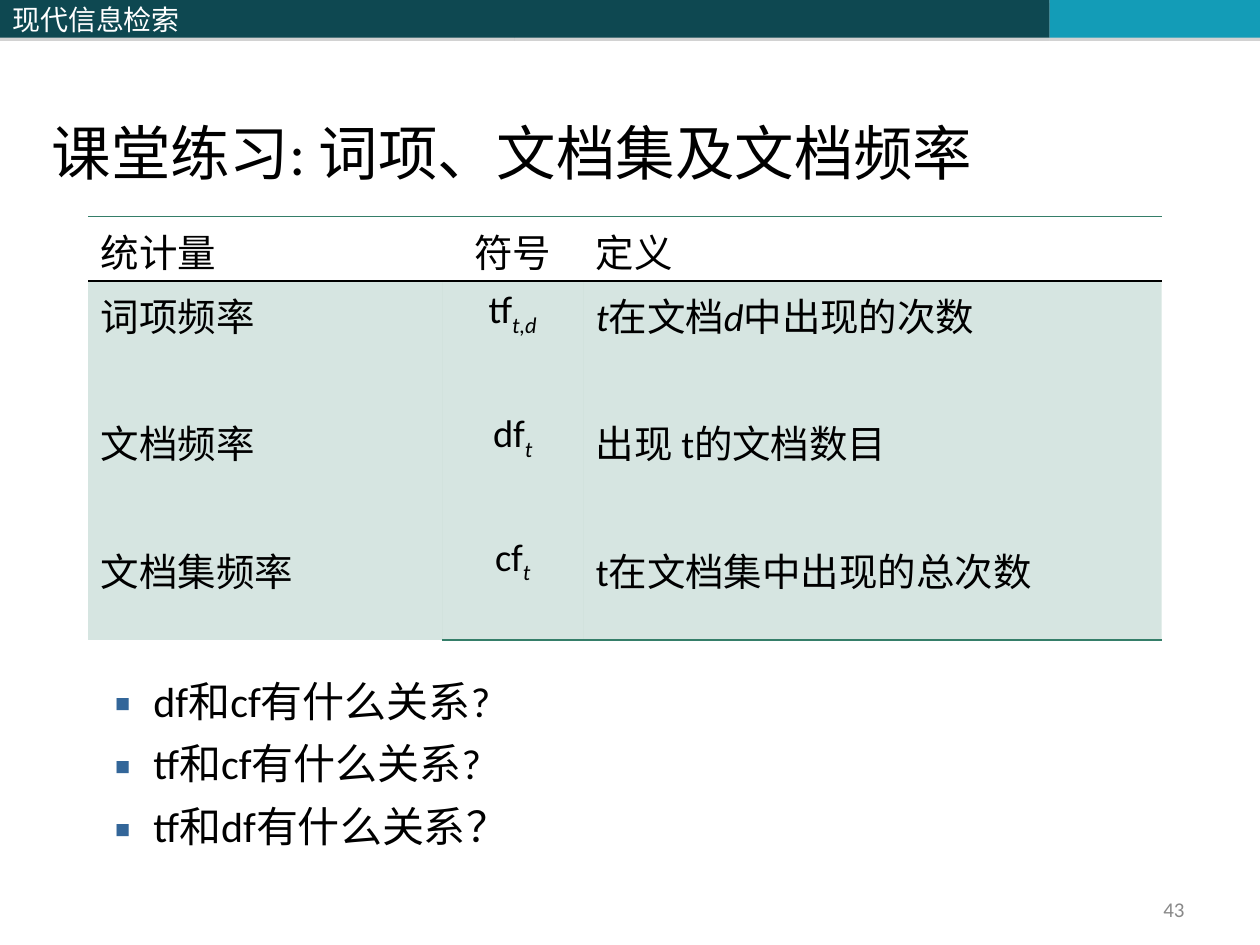
from lxml import etree
from pptx import Presentation
from pptx.dml import color
from pptx.enum import shapes, text
from pptx.oxml import ns
from pptx.util import Pt

INK = "000000"
TEAL = "0E4851"
GREEN = "357E69"
CJK = "Noto Sans CJK SC"
LEFT, MID, RIGHT = text.PP_ALIGN.LEFT, text.PP_ALIGN.CENTER, text.PP_ALIGN.RIGHT
MIDDLE = text.MSO_ANCHOR.MIDDLE
PLAIN = "{2D5ABB26-0587-4C30-8999-92F81FD0307C}"


def rgb(code):
    return color.RGBColor.from_string(code)


def sub(parent, tag, **attrs):
    node = etree.SubElement(parent, ns.qn("a:" + tag))
    for key, val in attrs.items():
        node.set(key, str(val))
    return node


def tint(parent, code, alpha=100):
    node = sub(sub(parent, "solidFill"), "srgbClr", val=code)
    if alpha < 100:
        sub(node, "alpha", val=alpha * 1000)


def write(frame, paras, size=22, font="Calibri", ink=INK, align=LEFT,
          first=0, gap=0, anchor=None, bullet=None):
    frame.word_wrap = True
    if anchor is not None:
        frame.vertical_anchor = anchor
    for row, runs in enumerate(paras):
        para = frame.add_paragraph() if row else frame.paragraphs[0]
        para.alignment = align
        para.space_before = Pt(gap if row else first)
        if bullet:
            mark(para, bullet)
        for words, style in [(runs, "")] if isinstance(runs, str) else runs:
            run = para.add_run()
            run.text = words
            run.font.size = Pt(size)
            run.font.name = font
            run.font.color.rgb = rgb(ink)
            props = run.font._element
            sub(props, "ea", typeface=CJK)
            if style:
                run.font.italic = True
            if style == "low":
                props.set("baseline", "-25000")


def mark(para, code):
    para.level = 1
    props = para._p.get_or_add_pPr()
    props.set("marL", str(Pt(58.3)))
    props.set("indent", str(Pt(-22.3)))
    sub(sub(props, "buClr"), "srgbClr", val=code)
    sub(props, "buFont", typeface="Noto Sans")
    sub(props, "buChar", char="▪")


def band(slide, left, width, fill, words=None):
    box = slide.shapes.add_shape(shapes.MSO_SHAPE.RECTANGLE,
                                 Pt(left), 0, Pt(width), Pt(21.6))
    box.fill.solid()
    box.fill.fore_color.rgb = rgb(fill)
    box.line.fill.background()
    box.shadow.inherit = False
    glow = box._element.spPr.find(ns.qn("a:effectLst"))
    drop = sub(glow, "outerShdw", blurRad=0, dist=Pt(1.8), dir=5400000,
               algn="t", rotWithShape=0)
    sub(sub(drop, "srgbClr", val="808080"), "alpha", val=35000)
    if words:
        write(box.text_frame, [words], size=16, font=CJK, ink="FFFFFF",
              anchor=MIDDLE)


def label(slide, left, top, width, height, paras, **look):
    box = slide.shapes.add_textbox(Pt(left), Pt(top), Pt(width), Pt(height))
    write(box.text_frame, paras, **look)


def head(slide, words):
    title = slide.shapes.title
    title.left, title.top, title.width, title.height = map(
        Pt, (22.3, 0.7, 697.7, 110.2))
    title.text_frame.auto_size = text.MSO_AUTO_SIZE.NONE
    write(title.text_frame, [words], size=34, anchor=text.MSO_ANCHOR.BOTTOM)


def edge(cell, fill=None, **sides):
    props = cell._tc.get_or_add_tcPr()
    for side in "LRTB":
        code = sides.get(side)
        line = sub(props, "ln" + side, w=Pt(1) if code else 0)
        if code:
            tint(line, code)
        else:
            sub(line, "noFill")
    if fill:
        tint(props, fill, 20)
    else:
        sub(props, "noFill")


def grid(slide, heads, body):
    widths, heights = (202.3, 80.6, 330.5), (36.7, 205.2)
    table = slide.shapes.add_table(2, 3, Pt(50.4), Pt(123.8), Pt(sum(widths)),
                                   Pt(sum(heights))).table
    table.first_row = table.horz_banding = False
    table._tbl.tblPr.find(ns.qn("a:tableStyleId")).text = PLAIN
    for row, high in zip(table.rows, heights):
        row.height = Pt(high)
    for col, wide in enumerate(widths):
        table.columns[col].width = Pt(wide)
        top, low = table.cell(0, col), table.cell(1, col)
        align = MID if col == 1 else LEFT
        write(top.text_frame, [heads[col]], align=align,
              font="Noto Sans" if col == 1 else "Calibri")
        write(low.text_frame, body[col], align=align, first=7, gap=40.9)
        edge(top, T=GREEN, B=INK)
        edge(low, GREEN, T=INK, B=GREEN if col else None)


def main():
    deck = Presentation()
    deck.slide_width, deck.slide_height = Pt(720), Pt(540)
    slide = deck.slides.add_slide(deck.slide_layouts[5])
    band(slide, 0, 293.8, TEAL, "现代信息检索")
    band(slide, 293.8, 306, TEAL)
    band(slide, 599.8, 120.2, "139CB7")
    head(slide, "课堂练习: 词项、文档集及文档频率")
    label(slide, 22.3, 382.3, 652.3, 191.5,
          ["df和cf有什么关系?", "tf和cf有什么关系?", "tf和df有什么关系？"],
          size=24, first=7, gap=7, bullet="336699")
    label(slide, 516.2, 509.8, 167.8, 19.4, ["43"], size=12, ink="898989",
          align=RIGHT, anchor=MIDDLE)
    grid(slide, ["统计量", "符号", "定义"], [
        ["词项频率", "文档频率", "文档集频率"],
        [[("tf", ""), ("t,d", "low")], [("df", ""), ("t", "low")],
         [("cf", ""), ("t", "low")]],
        [[("t", "it"), ("在文档", ""), ("d", "it"), ("中出现的次数", "")],
         "出现 t的文档数目", "t在文档集中出现的总次数"]])
    deck.save("out.pptx")


if __name__ == "__main__":
    main()
